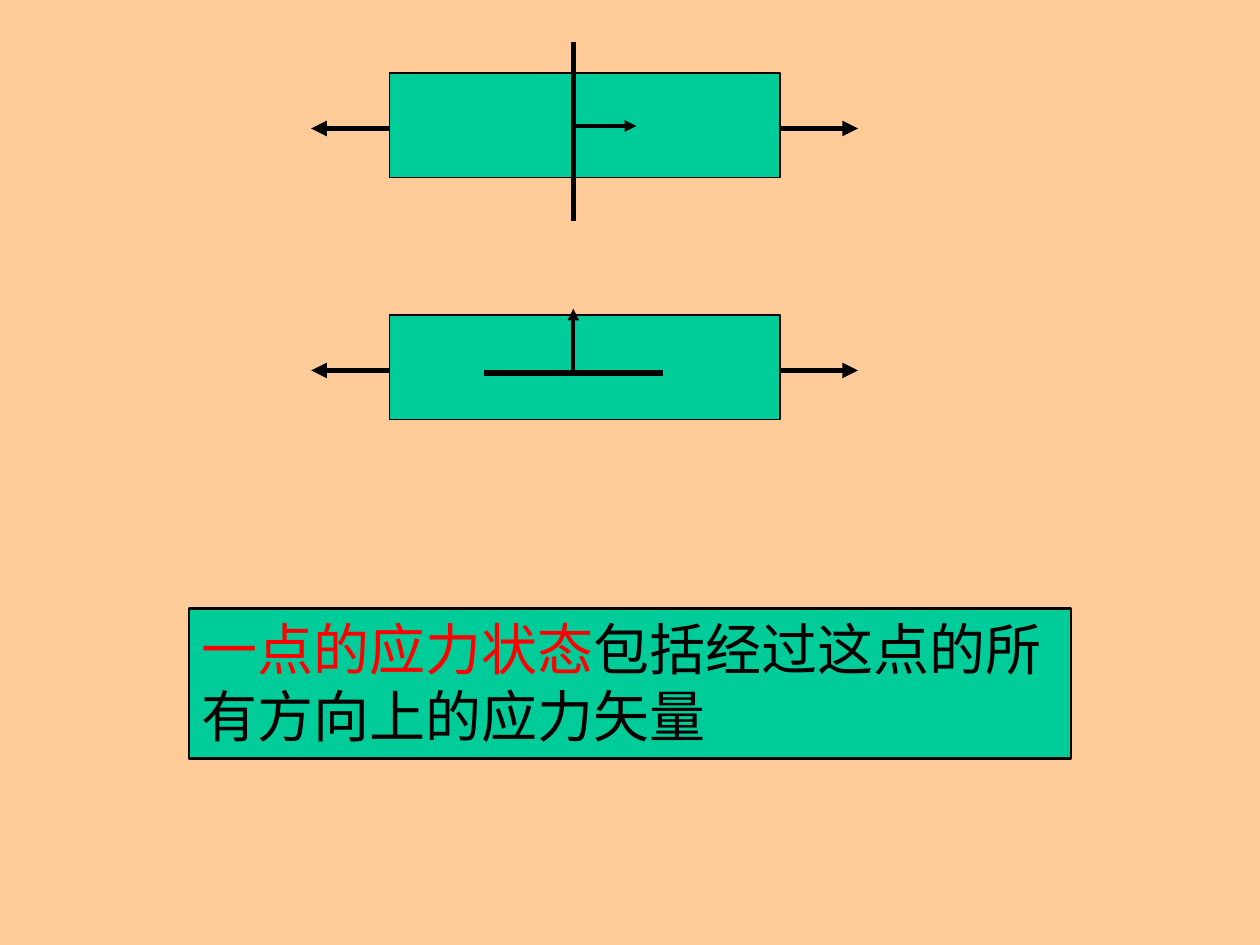
from lxml.etree import SubElement
from pptx import Presentation
from pptx.dml.color import RGBColor
from pptx.enum.shapes import MSO_CONNECTOR, MSO_SHAPE
from pptx.enum.text import MSO_ANCHOR, PP_ALIGN
from pptx.oxml.ns import qn
from pptx.util import Inches, Pt

COLORS = {"background": "FFCC99", "bar": "00CC99", "ink": "000000", "key": "FF0000"}

prs = Presentation()
prs.slide_width, prs.slide_height = Inches(10), Inches(7.5)
slide = prs.slides.add_slide(prs.slide_layouts[6])
slide.background.fill.solid()
slide.background.fill.fore_color.rgb = RGBColor.from_string(COLORS["background"])


def add_line(x1, y1, x2, y2, width=3, arrow=True):
    line = slide.shapes.add_connector(
        MSO_CONNECTOR.STRAIGHT, Inches(x1), Inches(y1), Inches(x2), Inches(y2))
    line.line.color.rgb = RGBColor.from_string(COLORS["ink"])
    line.line.width = Pt(width)
    if arrow:
        SubElement(line.line._get_or_add_ln(), qn("a:tailEnd"), type="triangle")
    SubElement(line._element.spPr, qn("a:effectLst"))


def add_box(left, top, width, height, text=(), line_width=0.75, size=32,
            font="Times New Roman"):
    """Draw a green box; text is a sequence of (words, colour name) runs."""
    box = slide.shapes.add_shape(
        MSO_SHAPE.RECTANGLE, Inches(left), Inches(top), Inches(width), Inches(height))
    box.shadow.inherit = False
    box.fill.solid()
    box.fill.fore_color.rgb = RGBColor.from_string(COLORS["bar"])
    box.line.color.rgb = RGBColor.from_string(COLORS["ink"])
    box.line.width = Pt(line_width)
    frame = box.text_frame
    frame.word_wrap = True
    frame.vertical_anchor = MSO_ANCHOR.TOP
    paragraph = frame.paragraphs[0]
    paragraph.alignment = PP_ALIGN.LEFT
    for words, color in text:
        run = paragraph.add_run()
        run.text = words
        run.font.size = Pt(size)
        run.font.name = font
        run.font.color.rgb = RGBColor.from_string(COLORS[color])


# Two bars pulled at both ends
bar_left, bar_width, bar_height, pull = 3.09, 3.1, 0.83, 0.62
bar_right = bar_left + bar_width
for bar_top in (0.58, 2.5):
    pull_y = bar_top + 0.44
    add_box(bar_left, bar_top, bar_width, bar_height)
    add_line(bar_left, pull_y, bar_left - pull, pull_y)
    add_line(bar_right, pull_y, bar_right + pull, pull_y)

# Section planes, each with its stress vector
plane_x = 4.55
add_line(plane_x, 0.33, plane_x, 1.75, arrow=False)
add_line(plane_x, 1, plane_x + 0.5, 1, width=2.25)
add_line(plane_x + 0.71, 2.96, plane_x - 0.71, 2.96, arrow=False)
add_line(plane_x, 2.95, plane_x, 2.45, width=2.25)

# Definition
add_box(1.5, 4.83, 7, 1.19, line_width=1.5, text=[
    ("一点的应力状态", "key"),
    ("包括经过这点的所有方向上的应力矢量", "ink"),
])

prs.save("out.pptx")
